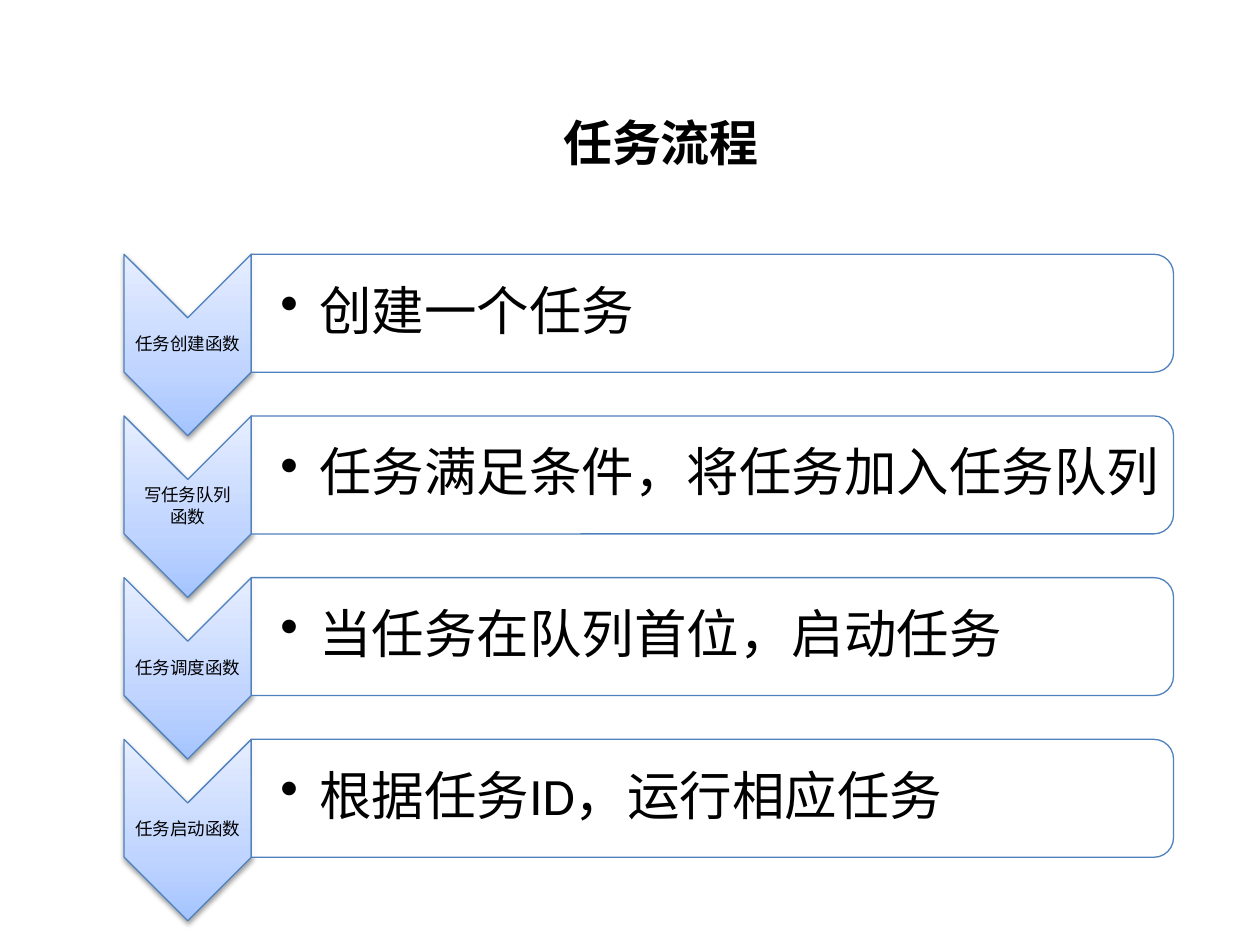
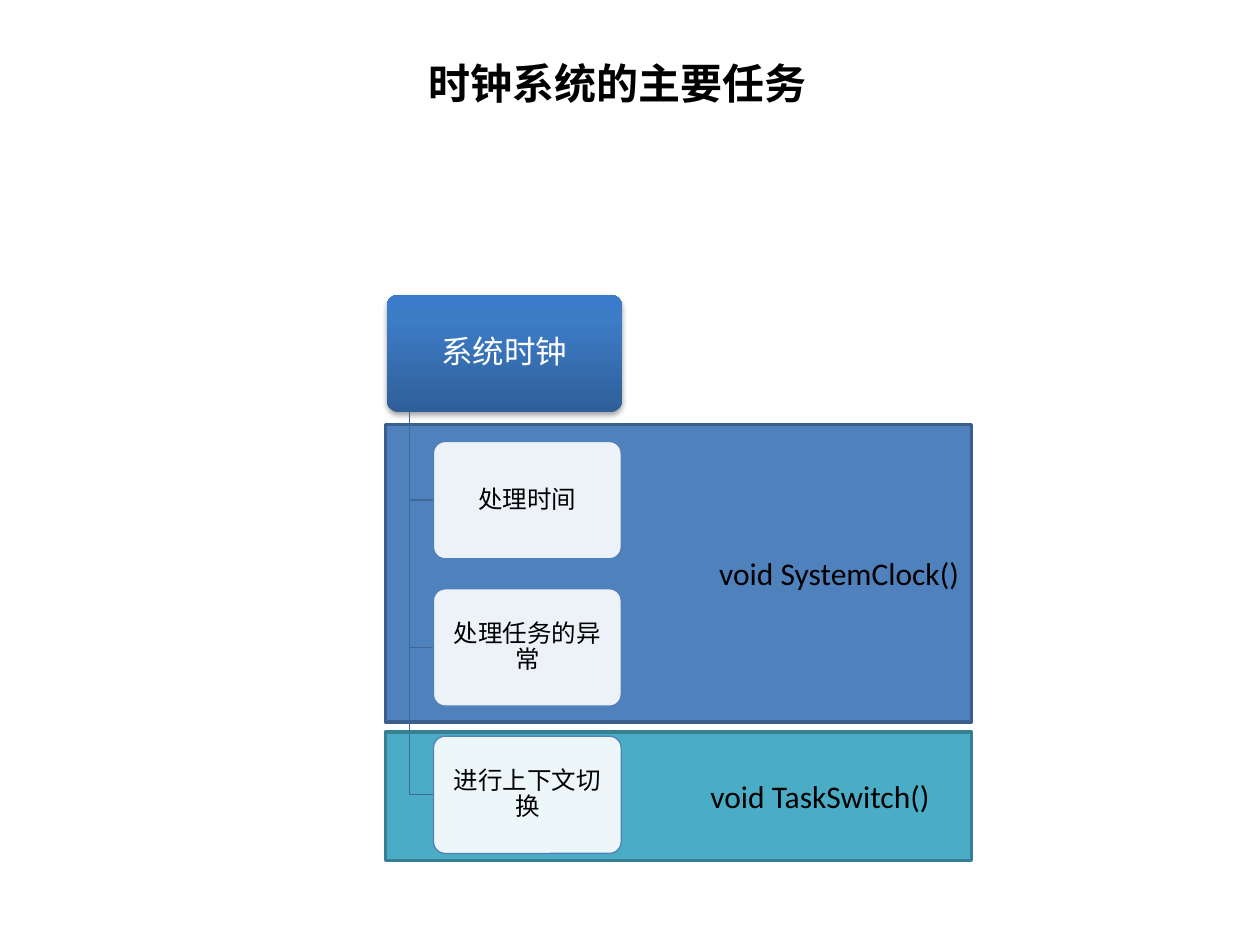
"""Build two slides: the task flow and the duties of the system clock."""
from lxml import etree
from pptx import Presentation
from pptx import util as u
from pptx.dml.color import RGBColor
from pptx.enum import shapes, text
from pptx.oxml import ns

FONT = "Calibri"
BLACK, WHITE, BLUE = "000000", "FFFFFF", "4F81BD"
STEM_COLOUR = "3F6797"

STEPS = [
    (["任务创建函数"], "创建一个任务"),
    (["写任务队列", "函数"], "任务满足条件，将任务加入任务队列"),
    (["任务调度函数"], "当任务在队列首位，启动任务"),
    (["任务启动函数"], "根据任务ID，运行相应任务"),
]
CHEVRON_STOPS = [(0, "A4C4FF"), (35, "BFD4FF"), (100, "E6EEFF")]
FLOW_TOP, FLOW_PITCH = 145.3, 92.4
CHEVRON = {"left": 70.9, "width": 72.7, "height": 103.7}
BAR = {"left": 143.6, "width": 527, "height": 67.4}

ROOT = "系统时钟"
ROOT_STOPS = [(0, "2F5F99"), (80, "3D7CC7"), (100, "3A7CCB")]
ROOT_BOX = (221, 168.5, 134.6, 67)
DUTIES = ["处理时间", "处理任务的异常", "进行上下文切换"]
DUTY_LEFT, DUTY_TOP, DUTY_WIDTH, DUTY_HEIGHT, DUTY_PITCH = 247.7, 252.3, 107.3, 67, 84.2
STEM_LEFT = 234
PANELS = [
    ((220.3, 418.3, 334.8, 73.4), "4BACC6", "377F92"),
    ((220.3, 242.6, 334.8, 170), BLUE, "3A5F8C"),
]
CALLS = [
    ((398.9, 440.6, 142.6, 28.8), "void TaskSwitch()"),
    ((403.9, 313.2, 153.4, 28.8), "void SystemClock()"),
]


def colour(value):
    return RGBColor.from_string(value)


def points(values):
    return [u.Pt(value) for value in values]


def add_xml(parent, tag, **attributes):
    values = {name: str(value) for name, value in attributes.items()}
    return etree.SubElement(parent, ns.qn(tag), values)


def write(shape, lines, size, ink=BLACK, bold=False, insets=(0, 0, 0, 0), align="CENTER",
          anchor="MIDDLE", wrap=True, spacing=0.9, after=0):
    frame = shape.text_frame
    sides = ("margin_left", "margin_top", "margin_right", "margin_bottom")
    settings = dict(zip(sides, points(insets)))
    settings.update(word_wrap=wrap, auto_size=text.MSO_AUTO_SIZE.NONE,
                    vertical_anchor=text.MSO_ANCHOR[anchor])
    for name, value in settings.items():
        setattr(frame, name, value)
    for index, line in enumerate(lines):
        para = frame.paragraphs[0] if index == 0 else frame.add_paragraph()
        layout = {"alignment": text.PP_ALIGN[align], "line_spacing": spacing,
                  "space_after": u.Pt(after)}
        for name, value in layout.items():
            setattr(para, name, value)
        span = para.add_run()
        span.text = line
        for name, value in {"name": FONT, "size": u.Pt(size), "bold": bold}.items():
            setattr(span.font, name, value)
        span.font.color.rgb = colour(ink)


def add_text(page, place, lines, size, **options):
    box = page.shapes.add_textbox(*points(place))
    write(box, lines, size, **options)
    return box


def add_plain(page, place, lines, size):
    add_text(page, place, lines, size, insets=(7.2, 3.6, 7.2, 3.6), align="LEFT",
             anchor="TOP", wrap=False, spacing=1.0)


def add_page(deck, title, place, size):
    page = deck.slides.add_slide(deck.slide_layouts[5])
    heading = page.shapes.title
    for name, value in zip(("left", "top", "width", "height"), points(place)):
        setattr(heading, name, value)
    write(heading, [title], size, bold=True, insets=(7.2, 3.6, 7.2, 3.6), align="LEFT",
          anchor="TOP", wrap=False, spacing=1.0)
    return page


def add_block(page, kind, place, fill=None, line=None, weight=0.75):
    block = page.shapes.add_shape(shapes.MSO_SHAPE[kind], *points(place))
    block.shadow.inherit = False
    if fill:
        block.fill.solid()
        block.fill.fore_color.rgb = colour(fill)
    if line:
        block.line.color.rgb = colour(line)
        block.line.width = u.Pt(weight)
    else:
        block.line.fill.background()
    return block


def add_turned(page, kind, left, top, width, height, **style):
    place = (left + (width - height) / 2, top + (height - width) / 2, height, width)
    block = add_block(page, kind, place, **style)
    block.rotation = 90
    return block


def make_translucent(block):
    for node in block.fill._xPr.find(ns.qn("a:solidFill")):
        add_xml(node, "a:alpha", val=90000)


def shade(block, stops, opacity, distance):
    block.fill.gradient()
    gradient = block._element.spPr.find(ns.qn("a:gradFill"))
    gradient.set("rotWithShape", "0")
    for child in list(gradient):
        gradient.remove(child)
    stop_list = add_xml(gradient, "a:gsLst")
    for position, value in stops:
        stop = add_xml(stop_list, "a:gs", pos=position * 1000)
        add_xml(stop, "a:srgbClr", val=value)
    add_xml(gradient, "a:lin", ang=270 * 60000, scaled=0)
    effects = block._element.spPr.find(ns.qn("a:effectLst"))
    shadow = add_xml(effects, "a:outerShdw", blurRad=u.Pt(3.1), dist=u.Pt(distance),
                     dir=90 * 60000, rotWithShape=0)
    add_xml(add_xml(shadow, "a:srgbClr", val=BLACK), "a:alpha", val=opacity * 1000)


def add_bullet(box, indent):
    for para in box.text_frame.paragraphs:
        properties = para._p.get_or_add_pPr()
        properties.set("marL", str(u.Pt(indent)))
        properties.set("indent", str(-u.Pt(indent)))
        add_xml(properties, "a:buChar", char="•")


def add_stem(page, left, top, right, bottom):
    builder = page.shapes.build_freeform(u.Pt(left), u.Pt(top))
    corners = [points((left, bottom)), points((right, bottom))]
    builder.add_line_segments(corners, close=False)
    stem = builder.convert_to_shape()
    stem.shadow.inherit = False
    stem.fill.background()
    stem.line.color.rgb = colour(STEM_COLOUR)
    stem.line.width = u.Pt(0.75)


def build_flow(deck):
    page = add_page(deck, "任务流程", (314.6, 60.5, 128.2, 41), 28)
    notch = CHEVRON["width"] / 2
    for index, (names, action) in enumerate(STEPS):
        top = FLOW_TOP + index * FLOW_PITCH
        chevron = add_turned(page, "CHEVRON", top=top, line=BLUE, **CHEVRON)
        shade(chevron, CHEVRON_STOPS, 38, 1.6)
        label = (CHEVRON["left"], top + notch, CHEVRON["width"],
                 CHEVRON["height"] - 2 * notch)
        add_text(page, label, names, 10, insets=(0.7,) * 4, after=1.5)
        bar = add_turned(page, "ROUND_2_SAME_RECTANGLE", top=top, fill=WHITE, line=BLUE, **BAR)
        make_translucent(bar)
        place = (BAR["left"], top + 3, BAR["width"] - 3, BAR["height"] - 6)
        box = add_text(page, place, [action], 30, insets=(16.6, 1.4, 1.4, 1.4), align="LEFT")
        add_bullet(box, 22.3)


def build_clock(deck):
    page = add_page(deck, "时钟系统的主要任务", (237.6, 29.5, 232.6, 36), 24)
    for place, fill, line in PANELS:
        add_block(page, "FLOWCHART_PROCESS", place, fill, line, 2)
    root = add_block(page, "ROUNDED_RECTANGLE", ROOT_BOX)
    root.adjustments[0] = 0.1
    shade(root, ROOT_STOPS, 35, 1.8)
    write(root, [ROOT], 18, ink=WHITE, insets=(3,) * 4)
    for index, duty in enumerate(DUTIES):
        top = DUTY_TOP + index * DUTY_PITCH
        add_stem(page, STEM_LEFT, ROOT_BOX[1] + ROOT_BOX[3], DUTY_LEFT, top + DUTY_HEIGHT / 2)
        place = (DUTY_LEFT, top, DUTY_WIDTH, DUTY_HEIGHT)
        node = add_block(page, "ROUNDED_RECTANGLE", place, WHITE, BLUE)
        node.adjustments[0] = 0.1
        make_translucent(node)
        write(node, [duty], 14, insets=(3,) * 4)
    for place, call in CALLS:
        add_plain(page, place, [call], 18)


deck = Presentation()
deck.slide_width, deck.slide_height = points((720, 540))
build_flow(deck)
build_clock(deck)
deck.save("out.pptx")
